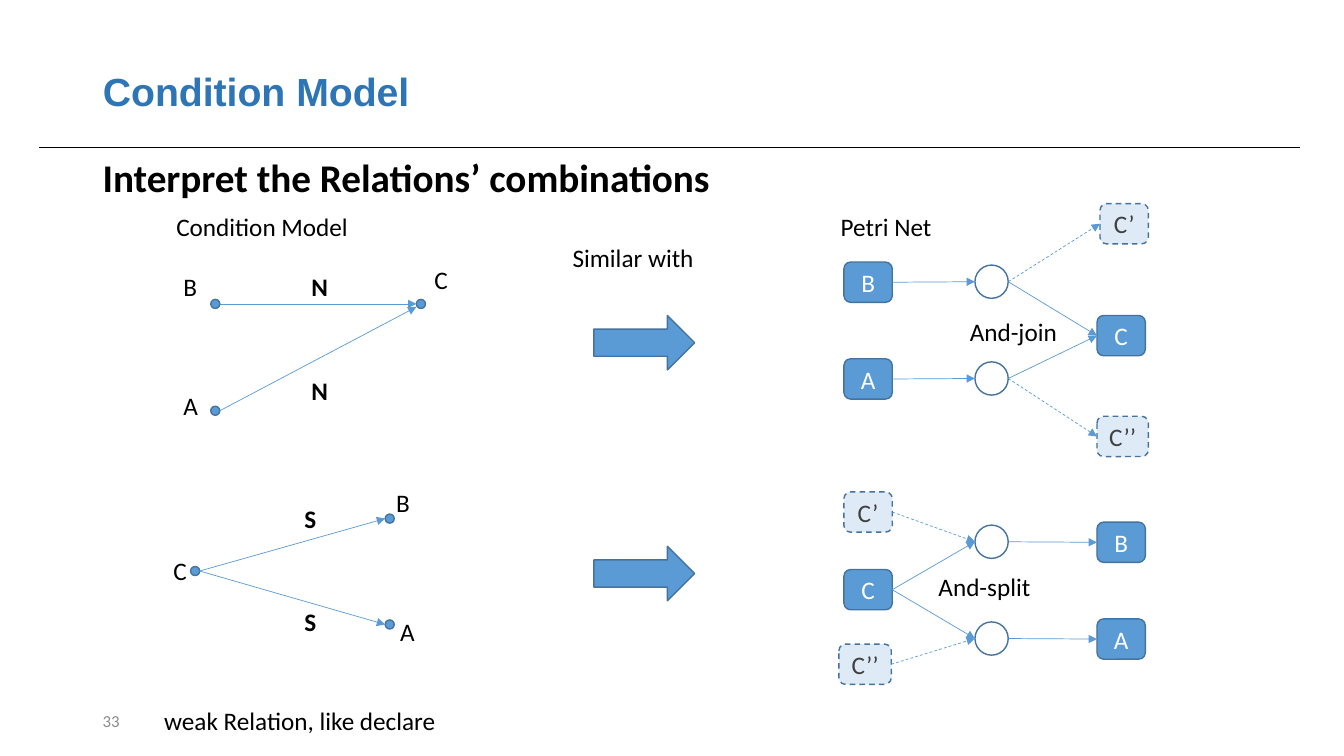
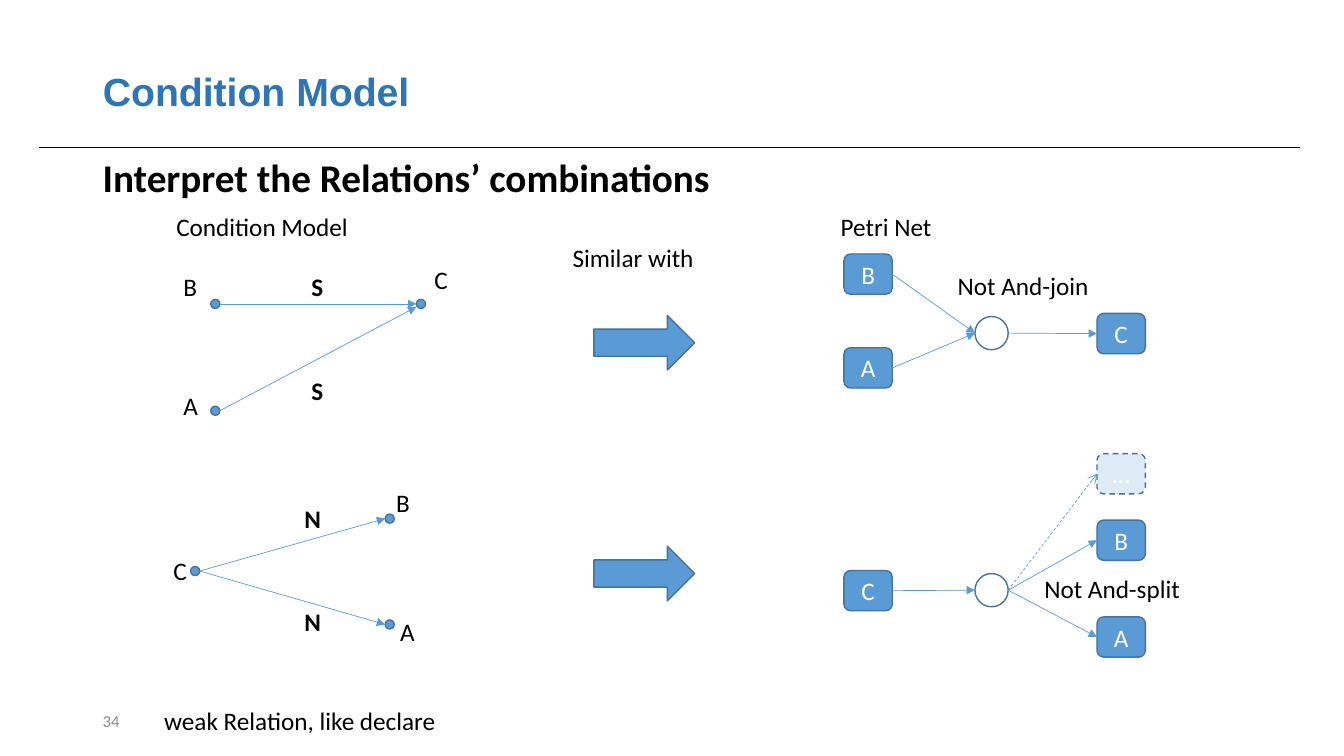
from lxml import etree
from pptx import Presentation
from pptx.dml.color import RGBColor
from pptx.enum.dml import MSO_LINE_DASH_STYLE as DASH
from pptx.enum.shapes import MSO_CONNECTOR as CONN, MSO_SHAPE as SHAPE
from pptx.enum.text import MSO_ANCHOR as ANCHOR, MSO_AUTO_SIZE as FIT, PP_ALIGN as ALIGN
from pptx.oxml.ns import qn
from pptx.util import Inches, Pt

COLORS = {
    "title": "2E75B6", "text": "000000", "fill": "5B9BD5", "outline": "43739E",
    "ghost": "DEEBF7", "ghost_text": "404040", "white": "FFFFFF", "number": "8C8C8C",
}
DOT, PLACE = 0.09, 0.33
BOX_W, BOX_H = 0.48, 0.4
LEFT, MIDDLE, RIGHT = 8.37, 9.67, 10.88  # columns of the Petri nets


def rgb(name):
    return RGBColor.from_string(COLORS[name])


class Deck:
    def __init__(self):
        self.prs = Presentation()
        self.prs.slide_width, self.prs.slide_height = Inches(13.33), Inches(7.5)
        self.s = None

    def slide(self, title, subtitle, number):
        self.s = self.prs.slides.add_slide(self.prs.slide_layouts[5])
        self.line((0.39, 1.46), (12.89, 1.46), "text", arrow=None)
        sp = self.s.shapes.title
        sp.left, sp.top, sp.width, sp.height = map(Inches, (0.92, 0.4, 11.5, 1.06))
        tf = sp.text_frame
        tf.text = title
        tf.auto_size, tf.vertical_anchor = FIT.NONE, ANCHOR.MIDDLE
        self.style(tf, 28, "title", bold=True, font="Arial").line_spacing = 0.9
        self.text(subtitle, 0.92, 1.52, 11.5, 0.52, size=28, bold=True).line_spacing = 0.9
        self.text(str(number), 0.92, 6.95, 0.6, size=12, color="number", anchor=ANCHOR.MIDDLE)

    def style(self, tf, size, color, bold=False, font="Calibri", align=ALIGN.LEFT):
        p = tf.paragraphs[0]
        p.alignment = align
        p.font.name, p.font.size, p.font.bold = font, Pt(size), bold
        p.font.color.rgb = rgb(color)
        return p

    def text(self, words, x, y, w=0.62, h=0.4, size=18, color="text", bold=False,
             anchor=ANCHOR.TOP):
        tf = self.s.shapes.add_textbox(*map(Inches, (x, y, w, h))).text_frame
        tf.word_wrap, tf.auto_size, tf.vertical_anchor = True, FIT.NONE, anchor
        tf.text = words
        return self.style(tf, size, color, bold)

    def shape(self, kind, x, y, w, h, fill="fill", dashed=False):
        sp = self.s.shapes.add_shape(kind, *map(Inches, (x, y, w, h)))
        sp.shadow.inherit = False
        if fill:
            sp.fill.solid()
            sp.fill.fore_color.rgb = rgb(fill)
        else:
            sp.fill.background()
        sp.line.color.rgb, sp.line.width = rgb("outline"), Pt(1)
        if dashed:
            sp.line.dash_style = DASH.DASH
        return sp

    def dot(self, x, y):
        return self.shape(SHAPE.OVAL, x, y, DOT, DOT)

    def place(self, y):
        return self.shape(SHAPE.OVAL, MIDDLE, y, PLACE, PLACE, fill=None)

    def box(self, label, x, y, w=BOX_W, ghost=False, color=None):
        sp = self.shape(SHAPE.ROUNDED_RECTANGLE, x, y, w, BOX_H,
                        "ghost" if ghost else "fill", ghost)
        tf = sp.text_frame
        tf.text = label
        tf.word_wrap, tf.vertical_anchor = False, ANCHOR.MIDDLE
        self.style(tf, 18, color or ("ghost_text" if ghost else "white"), align=ALIGN.CENTER)
        return sp

    def line(self, start, end, color="fill", dashed=False, arrow="triangle"):
        c = self.s.shapes.add_connector(CONN.STRAIGHT, *map(Inches, (*start, *end)))
        c.line.color.rgb, c.line.width = rgb(color), Pt(0.5)
        if dashed:
            c.line.dash_style = DASH.DASH
        if arrow:
            etree.SubElement(c.line._get_or_add_ln(), qn("a:tailEnd"), type=arrow)
        etree.SubElement(c._element.spPr, qn("a:effectLst"))

    def link(self, a, b, dashed=False, arrow="triangle", drop=0):
        """Arrow from the right side of a to the left side of b."""
        start = (a.left + a.width).inches if hasattr(a.left + a.width, "inches") \
            else (a.left + a.width) / Inches(1)
        mid_a, mid_b = ((sp.top + sp.height / 2) / Inches(1) for sp in (a, b))
        self.line((start, mid_a), (b.left / Inches(1), mid_b + drop), dashed=dashed, arrow=arrow)

    def condition_models(self, join, split):
        # Headings and closing remark
        for words, x, y, w in (("Condition Model", 1.65, 2.05, 1.92),
                               ("Similar with", 5.58, 2.35, 1.45),
                               ("Petri Net", 8.24, 2.05, 1.21),
                               ("weak Relation, like declare", 1.53, 6.95, 3)):
            self.text(words, x, y, w)
        for y in (3.13, 5.42):
            self.shape(SHAPE.RIGHT_ARROW, 5.89, y, 1, 0.54)
        # Join: B and A lead to C
        b, a, c = self.dot(2.09, 2.97), self.dot(2.09, 4.03), self.dot(4.13, 2.97)
        self.link(b, c)
        self.link(a, c, drop=0.03)
        # Split: C leads to B and A
        c, b, a = self.dot(1.89, 5.62), self.dot(3.82, 5.1), self.dot(3.82, 6.15)
        self.link(c, b)
        self.link(c, a)
        # Names of the dots and of the relations
        for name, x, y in (("B", 1.72, 2.64), ("A", 1.72, 3.82), ("C", 4.21, 2.57),
                           ("B", 3.83, 4.79), ("A", 3.87, 6.07), ("C", 1.62, 5.46)):
            self.text(name, x, y)
        for name, x, y in ((join, 2.99, 2.64), (split, 2.92, 4.94)):
            for top in (y, y + 1.03):
                self.text(name, x, top, 0.84, bold=True)


def and_nets(d):
    # And-join
    b, a = d.box("B", LEFT, 2.6), d.box("A", LEFT, 3.56)
    c = d.box("C", RIGHT, 3.13)
    c1 = d.box("C’", 10.91, 2.02, ghost=True)
    c2 = d.box("C’’", RIGHT, 4.13, 0.51, ghost=True)
    for source, y, ghost in ((b, 2.63, c1), (a, 3.59, c2)):
        place = d.place(y)
        d.link(source, place)
        d.link(place, c)
        d.link(place, ghost, dashed=True)
    d.text("And-join", 9.52, 3.09, 1.23)
    # And-split
    c = d.box("C", LEFT, 5.65)
    c1 = d.box("C’", LEFT, 4.88, ghost=True)
    c2 = d.box("C’’", 8.32, 6.39, 0.52, ghost=True)
    b, a = d.box("B", RIGHT, 5.18), d.box("A", RIGHT, 6.14)
    for target, y, ghost in ((b, 5.21, c1), (a, 6.17, c2)):
        place = d.place(y)
        d.link(c, place)
        d.link(place, target)
        d.link(ghost, place, dashed=True)
    d.text("And-split", 9.21, 5.62, 1.23)


def not_and_nets(d):
    # Not And-join
    place = d.place(3.14)
    for name, y in (("B", 2.52), ("A", 3.45)):
        d.link(d.box(name, LEFT, y), place)
    d.link(place, d.box("C", RIGHT, 3.11))
    d.text("Not And-join", 9.4, 2.63, 1.73)
    # Not And-split
    place = d.place(5.69)
    d.link(d.box("C", LEFT, 5.66), place)
    for name, y in (("B", 5.16), ("A", 6.12)):
        d.link(place, d.box(name, RIGHT, y))
    more = d.box("…", RIGHT, 4.5, ghost=True, color="white")
    d.link(place, more, dashed=True, arrow="arrow")
    d.text("Not And-split", 10.26, 5.64, 1.77)


def main():
    d = Deck()
    slides = ((33, "N", "S", and_nets), (34, "S", "N", not_and_nets))
    for number, join, split, draw_nets in slides:
        d.slide("Condition Model", "Interpret the Relations’ combinations", number)
        d.condition_models(join, split)
        draw_nets(d)
    d.prs.save("out.pptx")


if __name__ == "__main__":
    main()
